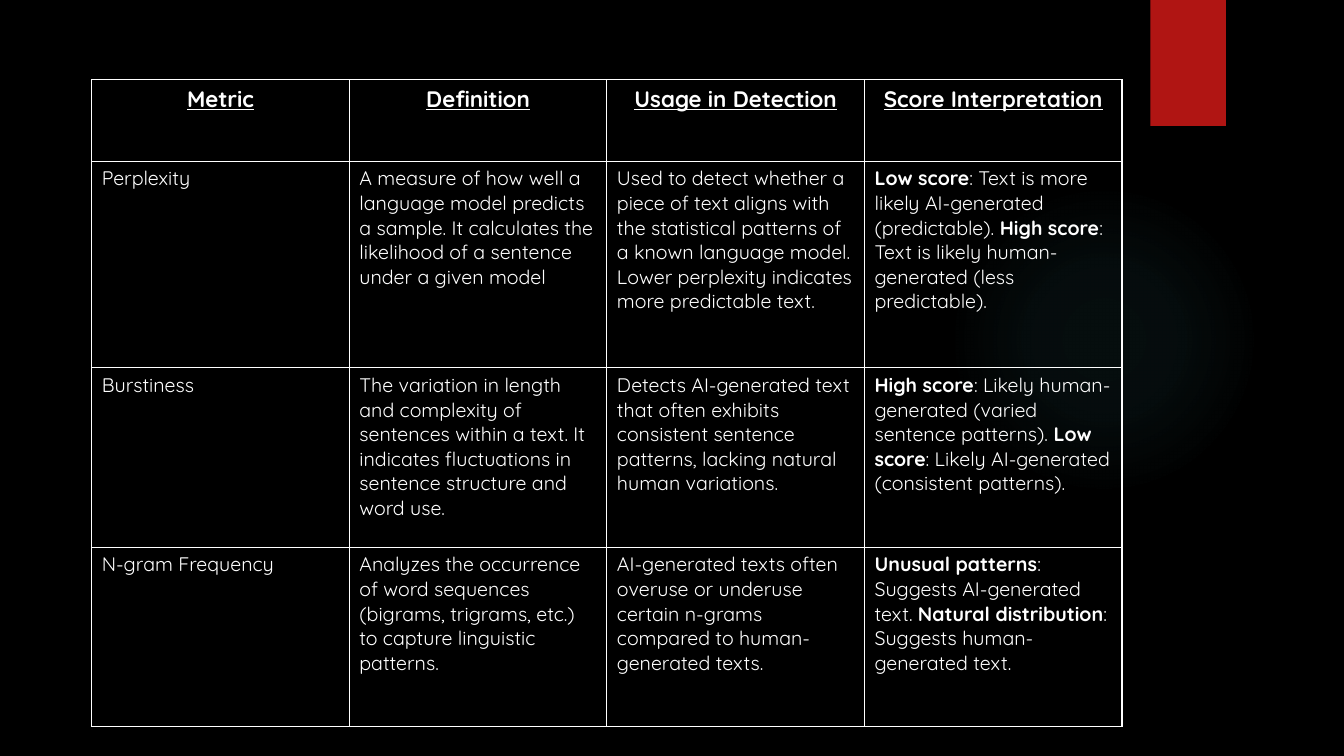
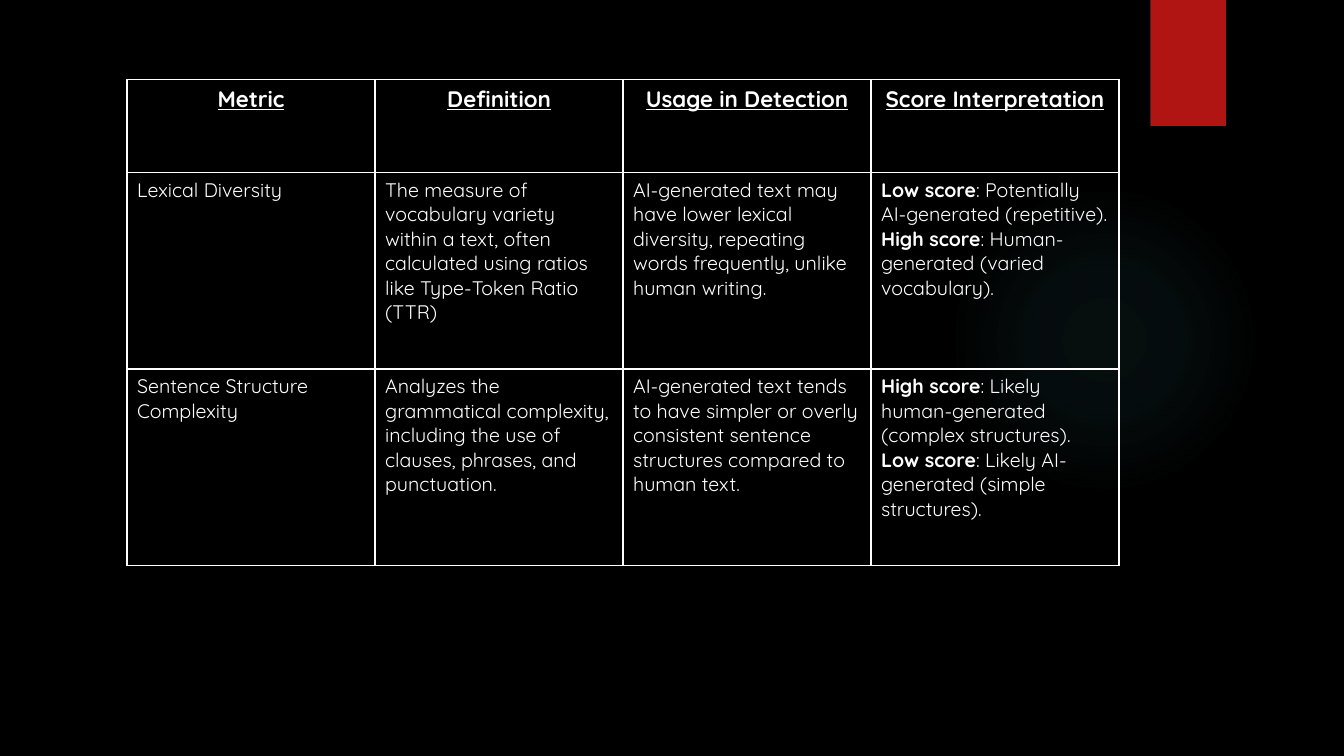
from lxml.etree import SubElement
from pptx import Presentation
from pptx.dml.color import RGBColor
from pptx.enum.shapes import MSO_SHAPE
from pptx.enum.text import PP_ALIGN
from pptx.oxml import parse_xml
from pptx.oxml.ns import nsdecls, qn
from pptx.util import Inches, Pt

COLORS = {"background": "000000", "text": "FFFFFF", "glow": "50B9C1", "ribbon": "B01513"}
FONT = "Quicksand"
HEADINGS = ["Metric", "Definition", "Usage in Detection", "Score Interpretation"]

# Each metric: name, definition, usage, score; ** encloses bold words
SLIDES = [
    {
        "left": 0.91, "column": 2.555, "rows": [0.81, 2.05, 1.78, 1.78],
        "metrics": [
            ["Perplexity",
             "A measure of how well a language model predicts a sample. "
             "It calculates the likelihood of a sentence under a given model",
             "Used to detect whether a piece of text aligns with the statistical patterns "
             "of a known language model. Lower perplexity indicates more predictable text.",
             "**Low score**: Text is more likely AI-generated (predictable). "
             "**High score**: Text is likely human-generated (less predictable)."],
            ["Burstiness",
             "The variation in length and complexity of sentences within a text. "
             "It indicates fluctuations in sentence structure and word use.",
             "Detects AI-generated text that often exhibits consistent sentence patterns, "
             "lacking natural human variations.",
             "**High score**: Likely human-generated (varied sentence patterns). "
             "**Low score**: Likely AI-generated (consistent patterns)."],
            ["N-gram Frequency",
             "Analyzes the occurrence of word sequences (bigrams, trigrams, etc.) "
             "to capture linguistic patterns.",
             "AI-generated texts often overuse or underuse certain n-grams "
             "compared to human-generated texts.",
             "**Unusual patterns**: Suggests AI-generated text. "
             "**Natural distribution**: Suggests human-generated text."],
        ],
    },
    {
        "left": 1.26, "column": 2.46, "rows": [0.92, 1.95, 1.95],
        "metrics": [
            ["Lexical Diversity",
             "The measure of vocabulary variety within a text, "
             "often calculated using ratios like Type-Token Ratio (TTR)",
             "AI-generated text may have lower lexical diversity, "
             "repeating words frequently, unlike human writing.",
             "**Low score**: Potentially AI-generated (repetitive). "
             "**High score**: Human-generated (varied vocabulary)."],
            ["Sentence Structure Complexity",
             "Analyzes the grammatical complexity, "
             "including the use of clauses, phrases, and punctuation.",
             "AI-generated text tends to have simpler or overly consistent "
             "sentence structures compared to human text.",
             "**High score**: Likely human-generated (complex structures). "
             "**Low score**: Likely AI-generated (simple structures)."],
        ],
    },
]


def add_backdrop(slide):
    """Black background, faint round glow and red ribbon."""
    slide.background.fill.solid()
    slide.background.fill.fore_color.rgb = RGBColor.from_string(COLORS["background"])

    glow = slide.shapes.add_shape(
        MSO_SHAPE.OVAL, Inches(9.41), Inches(1.83), Inches(3.08), Inches(3.08))
    glow.shadow.inherit = False
    glow.line.fill.background()
    stops = "".join(
        f'<a:gs pos="{position * 1000}"><a:srgbClr val="{COLORS["glow"]}">'
        f'<a:alpha val="{alpha * 1000}"/></a:srgbClr></a:gs>'
        for position, alpha in [(0, 7), (36, 6), (69, 0)])
    gradient = parse_xml(
        f'<a:gradFill {nsdecls("a")} rotWithShape="1"><a:gsLst>{stops}</a:gsLst>'
        '<a:path path="circle"><a:fillToRect l="50000" t="50000" r="50000" b="50000"/>'
        '</a:path></a:gradFill>')
    glow.element.spPr.find(qn("a:prstGeom")).addnext(gradient)

    ribbon = slide.shapes.add_shape(
        MSO_SHAPE.RECTANGLE, Inches(11.41), 0, Inches(0.75), Inches(1.25))
    ribbon.shadow.inherit = False
    ribbon.fill.solid()
    ribbon.fill.fore_color.rgb = RGBColor.from_string(COLORS["ribbon"])
    ribbon.line.fill.background()
    ribbon.element.spPr.find(qn("a:effectLst")).append(parse_xml(
        f'<a:outerShdw {nsdecls("a")} blurRad="{Pt(3)}" dist="{Pt(2)}" dir="5400000">'
        '<a:srgbClr val="000000"><a:alpha val="45000"/></a:srgbClr></a:outerShdw>'))


def fill_cell(cell, text, is_heading):
    """Outlined transparent cell with its text."""
    properties = cell._tc.get_or_add_tcPr()
    for side in ("lnL", "lnR", "lnT", "lnB"):
        border = SubElement(properties, qn(f"a:{side}"), w=str(Pt(1)))
        color = SubElement(border, qn("a:solidFill"))
        SubElement(color, qn("a:srgbClr"), val=COLORS["text"])
    cell.fill.background()

    paragraph = cell.text_frame.paragraphs[0]
    paragraph.alignment = PP_ALIGN.CENTER if is_heading else PP_ALIGN.LEFT
    for index, part in enumerate(text.split("**")):
        if not part:
            continue
        run = paragraph.add_run()
        run.text = part
        run.font.name = FONT
        run.font.size = Pt(16 if is_heading else 14)
        run.font.color.rgb = RGBColor.from_string(COLORS["text"])
        run.font.bold = is_heading or index % 2 == 1
        run.font.underline = is_heading


prs = Presentation()
prs.slide_width = Inches(13.33)
prs.slide_height = Inches(7.5)

for content in SLIDES:
    slide = prs.slides.add_slide(prs.slide_layouts[6])
    add_backdrop(slide)

    # Metrics table
    rows = [HEADINGS] + content["metrics"]
    metrics = slide.shapes.add_table(
        len(rows), len(HEADINGS), Inches(content["left"]), Inches(0.79),
        Inches(content["column"] * len(HEADINGS)), Inches(sum(content["rows"]))).table
    metrics.first_row = False
    metrics.horz_banding = False
    for column in metrics.columns:
        column.width = Inches(content["column"])
    for row_index, (texts, height) in enumerate(zip(rows, content["rows"])):
        metrics.rows[row_index].height = Inches(height)
        for column_index, text in enumerate(texts):
            fill_cell(metrics.cell(row_index, column_index), text, row_index == 0)

prs.save("out.pptx")
